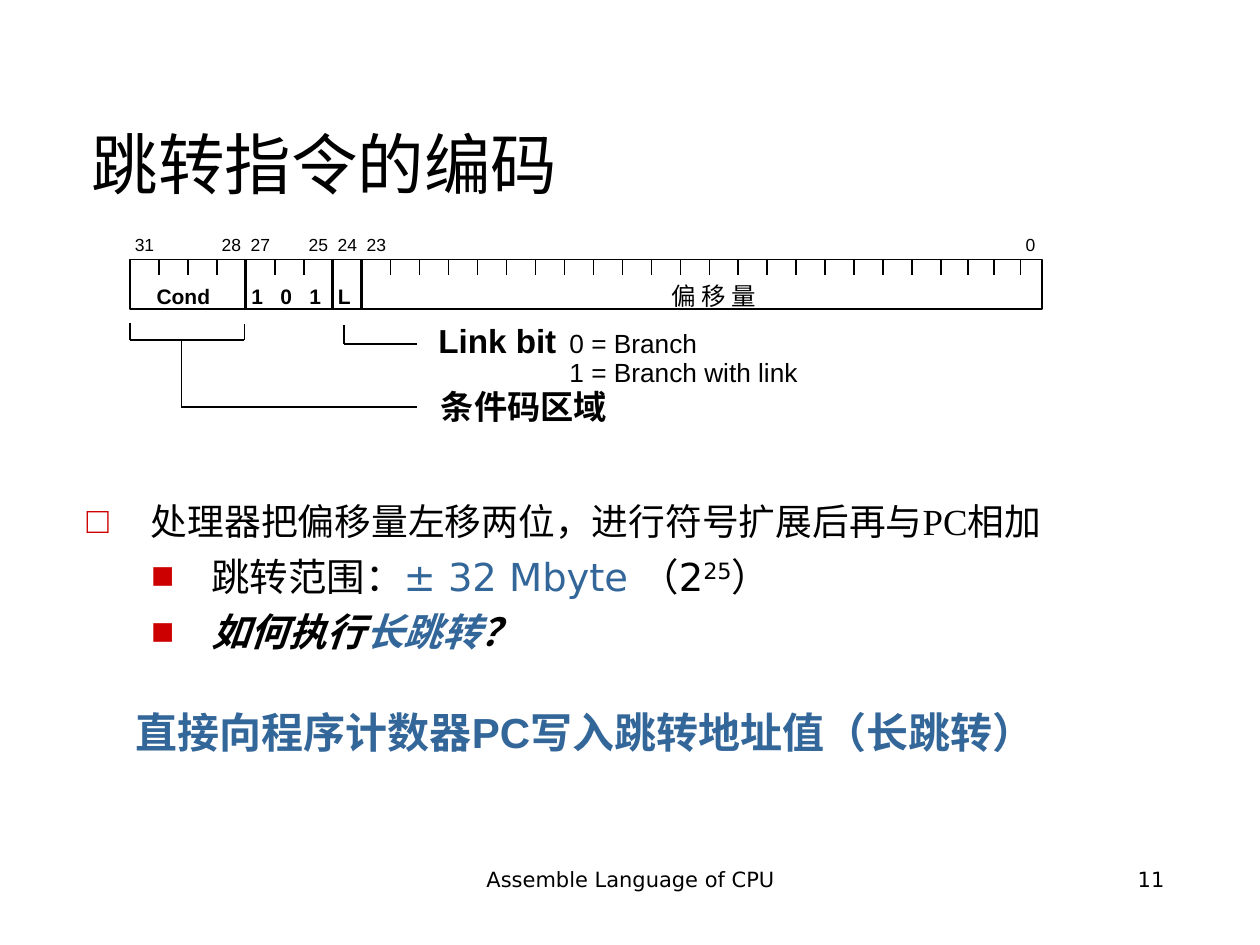
"""Builds the slide on how the branch instruction is encoded."""
from lxml import etree
from pptx import Presentation
from pptx.dml.color import RGBColor
from pptx.enum.shapes import MSO_CONNECTOR, MSO_SHAPE
from pptx.enum.text import MSO_ANCHOR, PP_ALIGN
from pptx.oxml.ns import qn
from pptx.util import Inches, Pt

LEFT, CENTER, RIGHT = PP_ALIGN.LEFT, PP_ALIGN.CENTER, PP_ALIGN.RIGHT
TOP, MIDDLE, BOTTOM = MSO_ANCHOR.TOP, MSO_ANCHOR.MIDDLE, MSO_ANCHOR.BOTTOM
STRAIGHT, RECTANGLE = MSO_CONNECTOR.STRAIGHT, MSO_SHAPE.RECTANGLE

COLORS = {"ink": "000000", "accent": "336699", "bullet": "CC0000"}
SANS, SERIF, LABEL = "DejaVu Sans", "Times New Roman", "Arial"
WIDE, NARROW = (0.1, 0.05), (0.07, 0.03)

BITS = 32
BIT_WIDTH, TAIL_START, TAIL_SHRINK = 0.23, 28, 0.02
WORD_LEFT, WORD_TOP, WORD_WIDTH, WORD_HEIGHT = 1.03, 2.06, 7.24, 0.39
TICK_HEIGHT = 0.12
FIELD_STARTS = (4, 7, 8)
BIT_NUMBERS = (31, 28, 27, 25, 24, 23, 0)

FIELDS = [
    ("Cond", 1.85, 12, True),
    ("1", 4.4, 12, True),
    ("0", 5.4, 12, True),
    ("1", 6.4, 12, True),
    ("L", 7.4, 12, True),
    ("偏 移 量", 20.15, 14, False),
]

CALLOUT_LINES = [
    (1.03, 2.56, 1.03, 2.7),
    (1.03, 2.7, 1.94, 2.7),
    (1.94, 2.7, 1.94, 2.57),
    (1.44, 2.7, 1.44, 3.23),
    (1.44, 3.23, 3.31, 3.23),
    (2.73, 2.58, 2.73, 2.73),
    (2.73, 2.73, 3.31, 2.73),
]

LINK_NOTE = [
    [("Link bit\t", {"size": 19, "bold": True}), ("0 = Branch", {"size": 15})],
    [("\t1 = Branch with link", {"size": 15})],
]

POINTS = [
    ("□", 0, 0.51, 0.51, 0, 21, SERIF,
     [("处理器把偏移量左移两位，进行符号扩展后再与PC相加", {})]),
    ("■", 1, 0.99, 0.48, 5.5, 22, SANS,
     [("跳转范围：", {}), ("± 32 Mbyte ", {"color": "accent"}),
      ("（2", {}), ("25", {"raised": True}), ("）", {})]),
    ("■", 1, 0.99, 0.48, 5.5, 22, SANS,
     [("如何执行", {"bold": True, "italic": True}),
      ("长跳转", {"bold": True, "italic": True, "color": "accent"}),
      ("？", {"bold": True, "italic": True})]),
]


def rgb(name):
    return RGBColor.from_string(COLORS[name])


def bit_left(column):
    """Left edge of a bit column; the last few columns are narrower."""
    return WORD_LEFT + BIT_WIDTH * column - TAIL_SHRINK * max(0, column - TAIL_START)


def add_span(para, text, size, face, color="ink", bold=False, italic=False, raised=False):
    span = para.add_run()
    span.text = text
    font = span.font
    font.size, font.name = Pt(size), face
    font.bold, font.italic = bold, italic
    font.color.rgb = rgb(color)
    if raised:
        font._element.set("baseline", "30000")


def add_box(page, place, insets=WIDE, anchor=TOP, wrap=True):
    box = page.shapes.add_textbox(*map(Inches, place))
    frame = box.text_frame
    frame.margin_left = frame.margin_right = Inches(insets[0])
    frame.margin_top = frame.margin_bottom = Inches(insets[1])
    frame.vertical_anchor, frame.word_wrap = anchor, wrap
    return frame


def add_label(page, place, text, size, face, align=LEFT, spacing=None,
              insets=WIDE, anchor=TOP, wrap=True, **style):
    para = add_box(page, place, insets, anchor, wrap).paragraphs[0]
    para.alignment, para.line_spacing = align, spacing
    add_span(para, text, size, face, **style)


def add_line(page, x1, y1, x2, y2, width=1):
    line = page.shapes.add_connector(STRAIGHT, *map(Inches, (x1, y1, x2, y2)))
    line.line.color.rgb = rgb("ink")
    line.line.width = Pt(width)
    etree.SubElement(line._element.spPr, qn("a:effectLst"))


def paragraphs_for(frame, items):
    for index, item in enumerate(items):
        yield (frame.add_paragraph() if index else frame.paragraphs[0]), item


def set_bullet(para, mark, indent, hanging):
    props = para._p.get_or_add_pPr()
    props.set("marL", str(Inches(indent)))
    props.set("indent", str(-Inches(hanging)))
    tint = etree.SubElement(props, qn("a:buClr"))
    etree.SubElement(tint, qn("a:srgbClr")).set("val", COLORS["bullet"])
    etree.SubElement(props, qn("a:buFont")).set("typeface", SERIF)
    etree.SubElement(props, qn("a:buChar")).set("char", mark)


def set_tab(para, position):
    tabs = etree.SubElement(para._p.get_or_add_pPr(), qn("a:tabLst"))
    tab = etree.SubElement(tabs, qn("a:tab"))
    tab.set("pos", str(Inches(position)))
    tab.set("algn", "l")


def draw_word(page):
    word = page.shapes.add_shape(
        RECTANGLE, *map(Inches, (WORD_LEFT, WORD_TOP, WORD_WIDTH, WORD_HEIGHT)))
    word.shadow.inherit = False
    word.fill.background()
    word.line.color.rgb = rgb("ink")
    word.line.width = Pt(1)
    for column in range(BITS):
        divider = column in FIELD_STARTS
        height = WORD_HEIGHT if divider else TICK_HEIGHT
        x = bit_left(column)
        add_line(page, x, WORD_TOP, x, WORD_TOP + height, 2 if divider else 1)
    for number in BIT_NUMBERS:
        x = bit_left(BITS - 1 - number) - 0.03
        add_label(page, (x, 1.83, 0.3, 0.23), str(number), 10, LABEL,
                  insets=NARROW, wrap=False)
    for text, column, size, bold in FIELDS:
        add_label(page, (bit_left(column) - 0.5, 2.2, 1, 0.3), text, size, LABEL,
                  CENTER, insets=NARROW, anchor=MIDDLE, bold=bold)


def draw_callouts(page):
    for ends in CALLOUT_LINES:
        add_line(page, *ends)
    add_label(page, (3.43, 3.08, 1.46, 0.34), "条件码区域", 19, LABEL,
              spacing=0.88, insets=NARROW, wrap=False, bold=True)
    frame = add_box(page, (3.41, 2.55, 3, 0.56), NARROW, wrap=False)
    for para, spans in paragraphs_for(frame, LINK_NOTE):
        set_tab(para, 1.04)
        para.line_spacing = 0.89
        for text, style in spans:
            add_span(para, text, face=LABEL, **style)


def draw_points(page):
    frame = add_box(page, (0.59, 3.91, 9, 1.58))
    for para, point in paragraphs_for(frame, POINTS):
        mark, level, indent, hanging, before, size, face, spans = point
        set_bullet(para, mark, indent, hanging)
        para.level = level
        if before:
            para.space_before = Pt(before)
        for text, style in spans:
            add_span(para, text, size, face, **style)


def main():
    deck = Presentation()
    deck.slide_width, deck.slide_height = Inches(10), Inches(7.5)
    page = deck.slides.add_slide(deck.slide_layouts[6])
    add_label(page, (0.63, 0.33, 8.75, 1.33), "跳转指令的编码", 38, SANS, anchor=BOTTOM)
    draw_word(page)
    draw_callouts(page)
    draw_points(page)
    add_label(page, (0.98, 5.56, 7.4, 0.9),
              "直接向程序计数器PC写入跳转地址值（长跳转）", 24, LABEL,
              color="accent", bold=True)
    add_label(page, (3.42, 6.83, 3.17, 0.52), "Assemble Language of CPU", 12, SANS, CENTER)
    add_label(page, (7.17, 6.83, 2.17, 0.52), "11", 12, SANS, RIGHT)
    deck.save("out.pptx")


if __name__ == "__main__":
    main()
